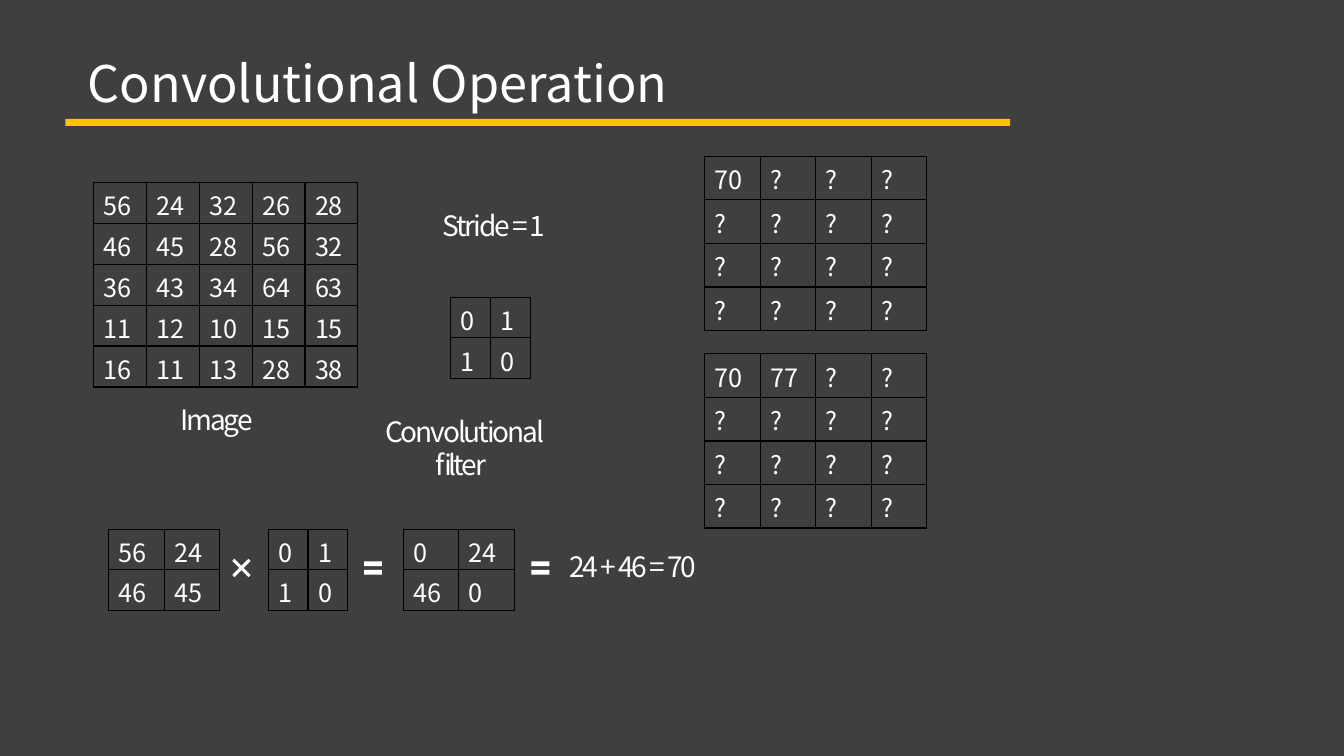
from lxml import etree
from pptx import Presentation
from pptx.dml.color import RGBColor
from pptx.enum.shapes import MSO_SHAPE
from pptx.enum.text import MSO_ANCHOR, MSO_AUTO_SIZE, PP_ALIGN
from pptx.oxml.ns import qn
from pptx.util import Inches, Pt

RECT, TIMES, EQUAL = MSO_SHAPE.RECTANGLE, MSO_SHAPE.MATH_MULTIPLY, MSO_SHAPE.MATH_EQUAL
TOP, LEFT, NO_FIT = MSO_ANCHOR.TOP, PP_ALIGN.LEFT, MSO_AUTO_SIZE.NONE
GREY = RGBColor(0x3F, 0x3F, 0x3F)
WHITE = RGBColor(0xFF, 0xFF, 0xFF)
GOLD = RGBColor(0xFF, 0xC1, 0x06)
BLACK = RGBColor(0, 0, 0)
FACE = "Noto Sans CJK KR"

TITLE = "Convolutional Operation"
IMAGE = [
    [56, 24, 32, 26, 28],
    [46, 45, 28, 56, 32],
    [36, 43, 34, 64, 63],
    [11, 12, 10, 15, 15],
    [16, 11, 13, 28, 38],
]
FILTER = [[0, 1], [1, 0]]
PATCH = [row[:2] for row in IMAGE[:2]]
PRODUCT = [[a * b for a, b in zip(*rows)] for rows in zip(PATCH, FILTER)]


def result(*known):
    """Return a 4 x 4 grid with the known values first and ? after them."""
    vals = list(known) + ["?"] * (16 - len(known))
    return [vals[i:i + 4] for i in range(0, 16, 4)]


# left, top, width, height, values
GRIDS = [
    (0.93, 1.81, 2.62, 2.03, IMAGE),
    (4.47, 2.95, 0.79, 0.8, FILTER),
    (1.08, 5.25, 1.1, 0.8, PATCH),
    (2.66, 5.25, 0.79, 0.8, FILTER),
    (4, 5.25, 1.1, 0.8, PRODUCT),
    (6.99, 1.55, 2.2, 1.73, result(70)),
    (6.99, 3.51, 2.2, 1.73, result(70, 77)),
]
# left, top, width, text
LABELS = [
    (1.69, 3.94, 1.5, "Image"),
    (3.72, 4.06, 2.28, "Convolutional filter"),
    (5.55, 5.4, 3.46, "24 + 46 = 70"),
    (4.29, 2.02, 3.23, "Stride = 1"),
]
# kind, place, fill, adjustments
SHAPES = [
    (RECT, (0.65, 1.18, 9.37, 0.07), GOLD, ()),
    (TIMES, (2.24, 5.48, 0.31, 0.31), WHITE, (0.1,)),
    (EQUAL, (3.58, 5.4, 0.24, 0.47), WHITE, (0.1, 0.08)),
    (EQUAL, (5.24, 5.4, 0.24, 0.47), WHITE, (0.1, 0.08)),
]


def style(run, size):
    for key, val in {"name": FACE, "size": Pt(size), "bold": False}.items():
        setattr(run.font, key, val)
    run.font.color.rgb = WHITE


def frame(cell):
    """Draw a thin black line on all four sides of a cell."""
    props = cell._tc.get_or_add_tcPr()
    for side in ("lnL", "lnR", "lnT", "lnB"):
        line = etree.SubElement(props, qn("a:" + side), w=str(Pt(1)))
        fill = etree.SubElement(line, qn("a:solidFill"))
        etree.SubElement(fill, qn("a:srgbClr"), val=str(BLACK))
    cell.fill.background()


def add_grid(slide, left, top, wide, high, vals):
    rows, cols = len(vals), len(vals[0])
    spot = map(Inches, (left, top, wide, high))
    table = slide.shapes.add_table(rows, cols, *spot).table
    table.first_row = table.horz_banding = False
    for r, row in enumerate(vals):
        for c, val in enumerate(row):
            cell = table.cell(r, c)
            frame(cell)
            # Slim margins let a line of text fit the row height
            cell.margin_top, cell.margin_bottom = Inches(0.04), 0
            run = cell.text_frame.paragraphs[0].add_run()
            run.text = str(val)
            style(run, 18)


def add_label(slide, left, top, wide, text):
    box = slide.shapes.add_textbox(*map(Inches, (left, top, wide, 0.44)))
    box.text_frame.word_wrap = True
    para = box.text_frame.paragraphs[0]
    props = para._p.get_or_add_pPr()
    props.set("marL", str(Inches(0.5)))
    props.set("indent", str(Inches(-0.5)))
    run = para.add_run()
    run.text = text
    style(run, 20)
    run.font._element.set("spc", "-150")


def add_title(slide):
    title = slide.shapes.title
    place = {"left": 0.77, "top": 0.47, "width": 6.15, "height": 0.71}
    for key, val in place.items():
        setattr(title, key, Inches(val))
    body = title.text_frame
    body.text = TITLE
    for key, val in {"vertical_anchor": TOP, "auto_size": NO_FIT, "word_wrap": True}.items():
        setattr(body, key, val)
    body.paragraphs[0].alignment = LEFT
    style(body.paragraphs[0].runs[0], 36)


def main():
    deck = Presentation()
    deck.slide_width, deck.slide_height = Inches(13.33), Inches(7.5)
    slide = deck.slides.add_slide(deck.slide_layouts[5])
    slide.background.fill.solid()
    slide.background.fill.fore_color.rgb = GREY
    add_title(slide)
    for kind, place, color, adjust in SHAPES:
        shape = slide.shapes.add_shape(kind, *map(Inches, place))
        shape.shadow.inherit = False
        shape.fill.solid()
        shape.fill.fore_color.rgb = color
        shape.line.fill.background()
        for i, val in enumerate(adjust):
            shape.adjustments[i] = val
    for grid in GRIDS:
        add_grid(slide, *grid)
    for label in LABELS:
        add_label(slide, *label)
    deck.save("out.pptx")


if __name__ == "__main__":
    main()
